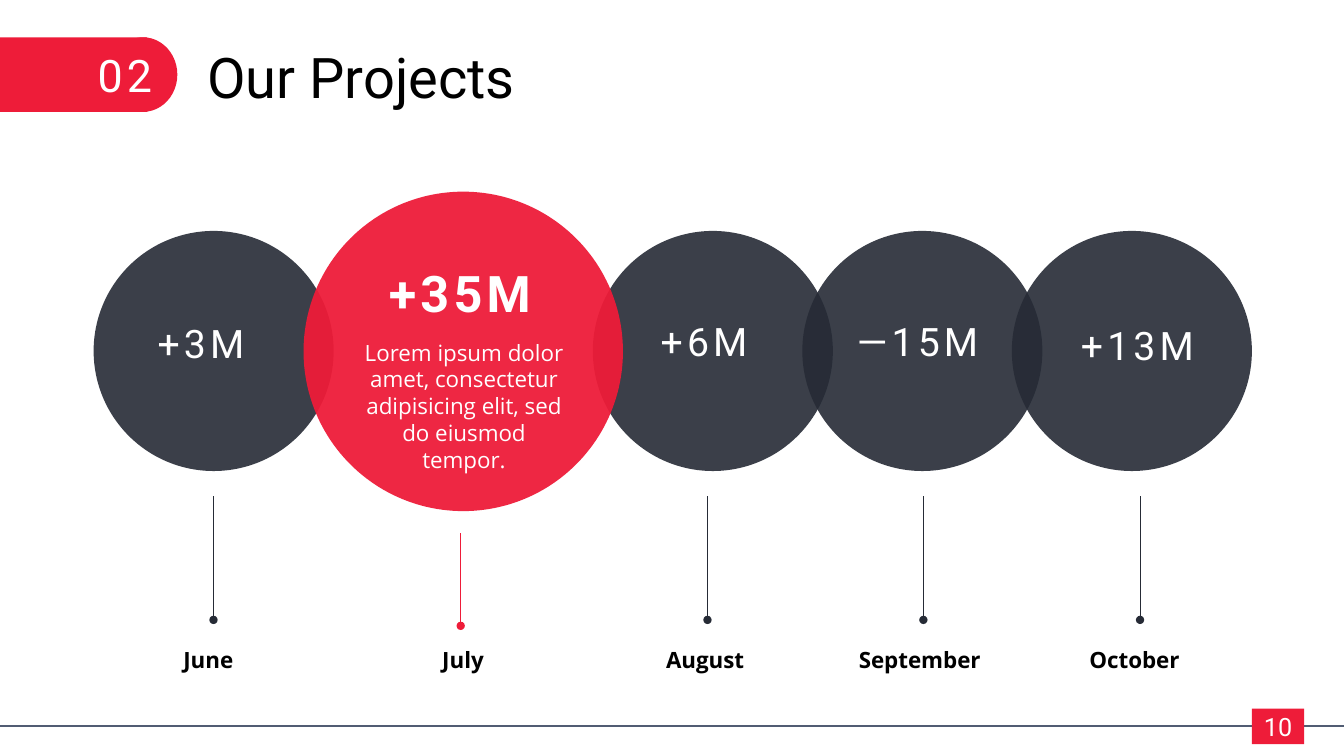
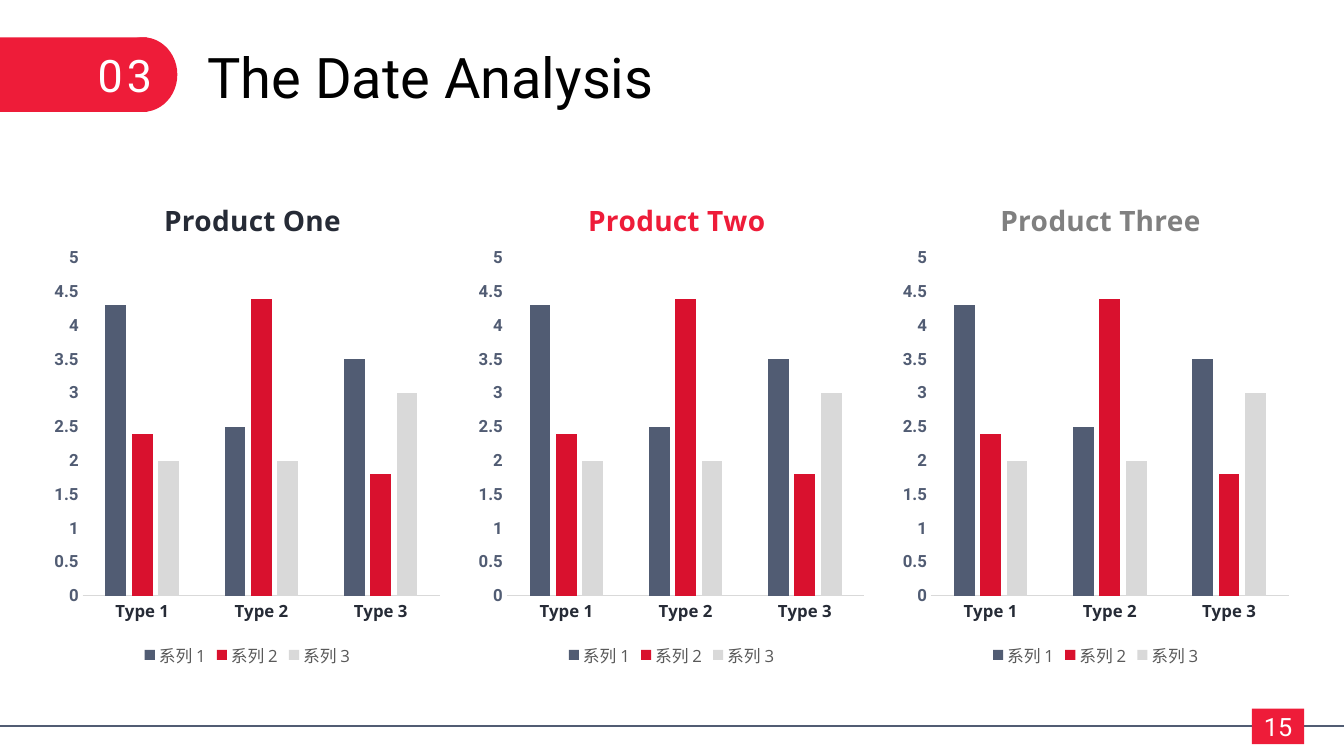
from pptx import Presentation
from pptx.chart.data import CategoryChartData
from pptx.dml.color import RGBColor
from pptx.enum.chart import XL_CHART_TYPE, XL_LEGEND_POSITION, XL_TICK_MARK
from pptx.enum.shapes import MSO_CONNECTOR, MSO_SHAPE
from pptx.enum.text import PP_ALIGN
from pptx.oxml.ns import qn
from pptx.util import Cm, Pt
from lxml.etree import SubElement

HUES = {
    "red": "EE1C39",
    "deep": "D9112E",
    "ink": "262B36",
    "slate": "515C73",
    "pale": "D9D9D9",
    "gray": "808080",
    "dim": "595959",
    "white": "FFFFFF",
    "black": "000000",
}
RGB = {key: RGBColor.from_string(code) for key, code in HUES.items()}
HEAD, BODY = "Roboto", "Open Sans"
LEFT, MID = PP_ALIGN.LEFT, PP_ALIGN.CENTER


def put(slide, box, kind=None, fill=None, alpha=100, text="", size=16,
        face=HEAD, hue="white", bold=False, align=MID, gap=0):
    spot = [Cm(side) for side in box]
    if kind:
        shape = slide.shapes.add_shape(kind, *spot)
        shape.shadow.inherit = False
        shape.fill.solid()
        shape.fill.fore_color.rgb = RGB[fill]
        shape.line.fill.background()
        if alpha < 100:
            tint = shape.fill._xPr.find(".//" + qn("a:srgbClr"))
            SubElement(tint, qn("a:alpha")).set("val", str(alpha * 1000))
    else:
        shape = slide.shapes.add_textbox(*spot)
    if text:
        frame = shape.text_frame
        frame.word_wrap = True
        frame.text = text
        para = frame.paragraphs[0]
        para.alignment = align
        run = para.runs[0]
        font = run.font
        font.name, font.size, font.bold = face, Pt(size), bold
        font.color.rgb = RGB[hue]
        if gap:
            font._element.set("spc", str(gap * 100))


def rule(slide, start, end, hue, width, dot=False):
    ends = [Cm(side) for side in (*start, *end)]
    line = slide.shapes.add_connector(MSO_CONNECTOR.STRAIGHT, *ends)
    line.line.color.rgb = RGB[hue]
    line.line.width = Pt(width)
    if dot:
        SubElement(line.line._get_or_add_ln(), qn("a:tailEnd")).set("type", "oval")
    SubElement(line._element.spPr, qn("a:effectLst"))


deck = Presentation()
deck.slide_width, deck.slide_height = Cm(33.87), Cm(19.05)
RECT, OVAL = MSO_SHAPE.RECTANGLE, MSO_SHAPE.OVAL

pages = []
for mark, title, page in [
    ("02", "Our Projects", "10"),
    ("03", "The Date Analysis", "15"),
]:
    slide = deck.slides.add_slide(deck.slide_layouts[6])
    rule(slide, (-0.05, 18.29), (33.87, 18.29), "slate", 1.5)
    put(slide, (-0.05, 0.94, 3.76, 1.88), RECT, "red")
    put(slide, (2.74, 0.94, 1.73, 1.88), OVAL, "red")
    put(slide, (2.21, 1.07, 3.18, 1.63), text=mark, size=32, align=LEFT, gap=3)
    put(slide, (31.55, 17.86, 1.32, 0.89), RECT, "red", text=page, size=18)
    put(slide, (4.98, 0.94, 23.06, 1.96), text=title, size=40, hue="black", align=LEFT)
    pages.append(slide)
work, data = pages

months = [
    ("June", "+3M", 2.36, (2.74, 7.92), 3.41, 5.38),
    ("August", "+6M", 14.94, (15.42, 7.87), 15.93, 17.83),
    ("September", "—15M", 20.22, (20.8, 7.87), 21.34, 23.27),
    ("October", "+13M", 25.5, (26.34, 7.98), 26.75, 28.73),
]
for name, value, left, spot, tag, stem in months:
    put(work, (left, 5.82, 6.05, 6.05), OVAL, "ink", 90)
    put(work, (*spot, 4.65, 1.45), text=value, size=28, gap=3)
    put(work, (tag, 16.15, 3.68, 0.94), text=name, face=BODY, hue="black", bold=True)
    rule(work, (stem, 12.5), (stem, 15.62), "ink", 0.5, True)

put(work, (7.65, 4.83, 8.05, 8.05), OVAL, "red", 95)
put(work, (9.55, 6.48, 4.65, 1.8), text="+35M", size=36, bold=True, align=LEFT, gap=3)
put(work, (8.94, 8.41, 5.51, 3.68), face=BODY,
    text="Lorem ipsum dolor amet, consectetur adipisicing elit, sed do eiusmod tempor.")
put(work, (9.83, 16.15, 3.68, 0.94), text="July", face=BODY, hue="black", bold=True)
rule(work, (11.61, 13.44), (11.61, 15.77), "red", 0.5, True)

rows = [
    ("系列 1", (4.3, 2.5, 3.5), "slate"),
    ("系列 2", (2.4, 4.4, 1.8), "deep"),
    ("系列 3", (2, 2, 3), "pale"),
]
sheet = CategoryChartData()
sheet.categories = ["Type 1", "Type 2", "Type 3"]
for name, vals, hue in rows:
    sheet.add_series(name, vals)

goods = [
    ("Product One", "ink", 0.28),
    ("Product Two", "red", 0.28),
    ("Product Three", "gray", 0.25),
]
for step, (name, hue, inset) in enumerate(goods):
    chart = data.shapes.add_chart(
        XL_CHART_TYPE.COLUMN_CLUSTERED,
        Cm(1.17 + 10.69 * step), Cm(4.22), Cm(10.13), Cm(12.7), sheet,
    ).chart
    chart.font.name, chart.font.size = BODY, Pt(10)
    chart.font.color.rgb = RGB["black"]

    chart.has_title = True
    title = chart.chart_title
    title.include_in_layout = False
    para = title.text_frame.paragraphs[0]
    para.text = name
    font = para.runs[0].font
    font.name, font.size, font.bold = BODY, Pt(20), True
    font.color.rgb = RGB[hue]

    chart.has_legend = True
    key = chart.legend
    key.position = XL_LEGEND_POSITION.BOTTOM
    key.include_in_layout = False
    key.font.name, key.font.size = BODY, Pt(12)
    key.font.color.rgb = RGB["dim"]

    cat, val = chart.category_axis, chart.value_axis
    for axis, face, tone in [(cat, BODY, "ink"), (val, HEAD, "slate")]:
        axis.major_tick_mark = axis.minor_tick_mark = XL_TICK_MARK.NONE
        axis.has_major_gridlines = False
        font = axis.tick_labels.font
        font.name, font.size, font.bold = face, Pt(12), True
        font.color.rgb = RGB[tone]
    cat.format.line.color.rgb = RGB["pale"]
    cat.format.line.width = Pt(0.75)
    val.format.line.fill.background()
    val.minimum_scale, val.maximum_scale, val.major_unit = 0, 5, 0.5

    plot = chart.plots[0]
    plot.vary_by_categories = False
    plot.gap_width, plot.overlap = 219, -27
    for bars, row in zip(plot.series, rows):
        bars.invert_if_negative = False
        bars.format.fill.solid()
        bars.format.fill.fore_color.rgb = RGB[row[2]]

    area = chart.element.find(".//" + qn("c:plotArea"))
    for host, place, rest in [
        (title._element, 1, {"x": inset, "y": 0.05}),
        (area, 0, {"x": 0.09, "y": 0.18, "w": 0.89, "h": 0.67}),
    ]:
        for old in host.findall(qn("c:layout")):
            host.remove(old)
        layout = SubElement(host, qn("c:layout"))
        host.insert(place, layout)
        inner = SubElement(layout, qn("c:manualLayout"))
        if "w" in rest:
            SubElement(inner, qn("c:layoutTarget")).set("val", "inner")
        for side in "xy":
            SubElement(inner, qn(f"c:{side}Mode")).set("val", "edge")
        for side, share in rest.items():
            SubElement(inner, qn(f"c:{side}")).set("val", str(share))

deck.save("out.pptx")
